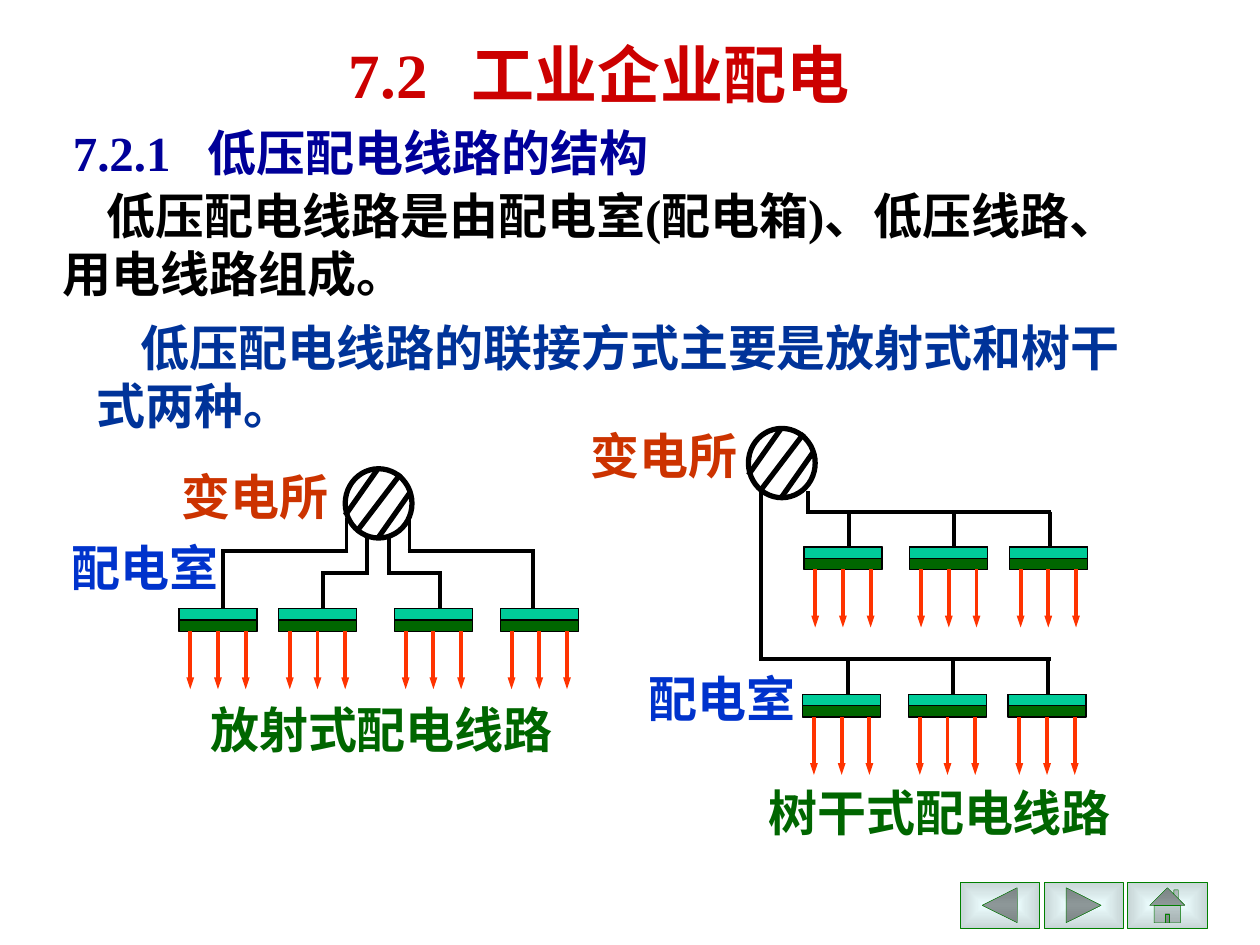
from dataclasses import dataclass

from lxml import etree
from pptx import Presentation
from pptx.dml.color import RGBColor
from pptx.enum.shapes import MSO_CONNECTOR, MSO_SHAPE
from pptx.enum.text import MSO_ANCHOR, MSO_AUTO_SIZE
from pptx.oxml.ns import qn
from pptx.util import Inches, Pt

STRAIGHT = MSO_CONNECTOR.STRAIGHT
RECTANGLE, OVAL = MSO_SHAPE.RECTANGLE, MSO_SHAPE.OVAL
NAVIGATION = (MSO_SHAPE.ACTION_BUTTON_BACK_OR_PREVIOUS,
              MSO_SHAPE.ACTION_BUTTON_FORWARD_OR_NEXT,
              MSO_SHAPE.ACTION_BUTTON_HOME)
TOP, MIDDLE, BOTTOM = MSO_ANCHOR.TOP, MSO_ANCHOR.MIDDLE, MSO_ANCHOR.BOTTOM
FIT_SHAPE = MSO_AUTO_SIZE.SHAPE_TO_FIT_TEXT

SLIDE_WIDTH, SLIDE_HEIGHT = Inches(10), Inches(7.5)
CELL = SLIDE_WIDTH // 100  # the grid has 100 columns and 75 rows
SHORT_LABEL, LONG_LABEL = 14, 29.6  # columns for three and seven characters


@dataclass(frozen=True)
class Theme:
    latin: str = "Times New Roman"
    asian: str = "Noto Sans CJK JP"
    title_size: int = 36
    text_size: int = 28
    title: str = "CC0000"
    heading: str = "000099"
    black: str = "000000"
    statement: str = "003399"
    substation: str = "CC3300"
    room: str = "0033CC"
    green: str = "006600"
    mint: str = "00CC99"
    load: str = "FF3300"
    button_line: str = "008000"
    button_centre: str = "ECFDFE"
    button_edge: str = "C7D5D6"
    thick: float = 3
    wire: float = 2.25
    outline: float = 0.75
    hairline: float = 0.25


THEME = Theme()


@dataclass(frozen=True)
class Box:
    """A region of the grid, with the shapes collection it draws into."""
    shapes: object
    left: float
    top: float

    def at(self, column, row):
        return round((self.left + column) * CELL), round((self.top + row) * CELL)

    def inner(self, column, row):
        return Box(self.shapes, self.left + column, self.top + row)


def color(value):
    return RGBColor.from_string(value)


def add_text(box, column, row, width, height, paragraphs, ink,
             size=THEME.text_size, anchor=TOP, wrap=True, indent=0, tab=0):
    """indent applies to the first line; tab is the single tab stop."""
    shape = box.shapes.add_textbox(*box.at(column, row), round(width * CELL), round(height * CELL))
    frame = shape.text_frame
    frame.word_wrap = wrap
    frame.vertical_anchor = anchor
    if not wrap:
        frame.auto_size = FIT_SHAPE
    frame.text = "\n".join(paragraphs)
    properties = frame.paragraphs[0]._p.get_or_add_pPr()
    if indent:
        properties.set("indent", str(round(indent * CELL)))
    if tab:
        stops = etree.SubElement(properties, qn("a:tabLst"))
        etree.SubElement(stops, qn("a:tab"), pos=str(round(tab * CELL)), algn="l")
    for paragraph in frame.paragraphs:
        for run in paragraph.runs:
            run.font.name = THEME.latin
            run.font.size = Pt(size)
            run.font.bold = True
            run.font.color.rgb = color(ink)
            etree.SubElement(run._r.get_or_add_rPr(), qn("a:ea"), typeface=THEME.asian)


def add_label(box, column, row, width, text, ink):
    add_text(box, column, row, width, 5.7, [text], ink, wrap=False)


def add_line(box, start, end, ink=THEME.black, width=THEME.wire, arrow=False):
    connector = box.shapes.add_connector(STRAIGHT, *box.at(*start), *box.at(*end))
    connector.line.color.rgb = color(ink)
    connector.line.width = Pt(width)
    if arrow:
        etree.SubElement(connector.line._get_or_add_ln(), qn("a:tailEnd"),
                         type="triangle", w="sm", len="med")
    etree.SubElement(connector._element.spPr, qn("a:effectLst"))


def add_shape(box, kind, column, row, width, height, fill=None,
              ink=THEME.black, line_width=THEME.outline):
    shape = box.shapes.add_shape(kind, *box.at(column, row),
                                 round(width * CELL), round(height * CELL))
    shape.shadow.inherit = False
    shape.line.color.rgb = color(ink)
    shape.line.width = Pt(line_width)
    if fill:
        shape.fill.solid()
        shape.fill.fore_color.rgb = color(fill)
    else:
        shape.fill.background()
    return shape


def add_substation(box):
    add_shape(box, OVAL, 0, 0, 5.3, 5.5, line_width=THEME.thick)
    for start, end in (((2.6, 0), (0, 3.7)), ((4.4, 0.4), (0.9, 5)), ((5.2, 1.8), (2.6, 5.5))):
        add_line(box, start, end, width=THEME.thick)


def add_room(box):
    """A distribution room with its three load arrows."""
    for height, fill in ((1.8, THEME.green), (0.9, THEME.mint)):
        add_shape(box, RECTANGLE, 0, 0, 6.2, height, fill)
    for index in range(3):
        column = 0.9 + 2.2 * index
        add_line(box, (column, 1.8), (column, 6.4), THEME.load, arrow=True)


def add_bus(box, start, end, row):
    """A horizontal wire that overlaps its corners by half a line width."""
    overlap = 0.15 if end > start else -0.15
    add_line(box, (start - overlap, row), (end + overlap, row))


def add_radial_diagram(box):
    add_substation(box.inner(22.7, 0.7))
    room_row = 11.8
    # outlet column, outlet row, bus row, drop column, room column
    for outlet, start, bus, drop, room in ((22.8, 4.6, 7.2, 13, 9.5),
                                           (24.4, 6.2, 9, 20.9, 17.4),
                                           (26.2, 6.2, 9, 30.2, 26.6),
                                           (27.8, 4.6, 7.2, 37.6, 35)):
        add_line(box, (outlet, start), (outlet, bus))
        add_bus(box, outlet, drop, bus)
        add_line(box, (drop, bus), (drop, room_row))
        add_room(box.inner(room, room_row))
    add_label(box, 8.7, 0, SHORT_LABEL, "变电所", THEME.substation)
    add_label(box, 0, 5.7, SHORT_LABEL, "配电室", THEME.room)
    add_label(box, 11, 18.5, LONG_LABEL, "放射式配电线路", THEME.green)


def add_trunk_diagram(box):
    add_substation(box.inner(13.5, 0.7))
    for outlet, bus, shift in ((18.2, 7.3, 0), (14.5, 19, -0.1)):
        add_line(box, (outlet, 5.7), (outlet, bus))
        add_bus(box, outlet, 37.4, bus)
        for room, drop in ((17.9, 21.5), (26.3, 29.8), (34.2, 37.4)):
            add_line(box, (drop + shift, bus), (drop + shift, bus + 2.8))
            add_room(box.inner(room + shift, bus + 2.8))
    add_label(box, 0, 0, SHORT_LABEL, "变电所", THEME.substation)
    add_label(box, 4.6, 19.3, SHORT_LABEL, "配电室", THEME.room)
    add_label(box, 14.1, 28.3, LONG_LABEL, "树干式配电线路", THEME.green)


def add_navigation(box):
    for index, kind in enumerate(NAVIGATION):
        button = add_shape(box, kind, 6.65 * index, 0, 6.3, 3.7,
                           ink=THEME.button_line, line_width=THEME.hairline)
        button.fill.gradient()
        for stop, value in zip(button.fill.gradient_stops,
                               (THEME.button_centre, THEME.button_edge)):
            stop.color.rgb = color(value)
        gradient = button._element.spPr.find(qn("a:gradFill"))
        gradient.remove(gradient.find(qn("a:lin")))
        shade = etree.SubElement(gradient, qn("a:path"), path="rect")
        etree.SubElement(shade, qn("a:fillToRect"), l="50000", t="50000", r="50000", b="50000")


def add_introduction(box):
    add_text(box, 26.7, 2.5, 58.3, 6.7, ["7.2\t工业企业配电"], THEME.title,
             size=THEME.title_size, anchor=MIDDLE, tab=9.7)
    add_text(box, 4.8, 9.2, 60, 5.7, ["7.2.1\t低压配电线路的结构"], THEME.heading, tab=10.7)
    add_text(box, 4, 14.2, 92, 10.4,
             ["低压配电线路是由配电室(配电箱)、低压线路、", "用电线路组成。"],
             THEME.black, indent=3.5)
    add_text(box, 6.7, 24.2, 85, 10.8,
             ["低压配电线路的联接方式主要是放射式和树干式两种。"],
             THEME.statement, anchor=BOTTOM, indent=3.5)


def main():
    presentation = Presentation()
    presentation.slide_width, presentation.slide_height = SLIDE_WIDTH, SLIDE_HEIGHT
    slide = presentation.slides.add_slide(presentation.slide_layouts[6])
    add_introduction(Box(slide.shapes, 0, 0))
    add_radial_diagram(Box(slide.shapes.add_group_shape().shapes, 4.7, 36.5))
    add_trunk_diagram(Box(slide.shapes.add_group_shape().shapes, 45.9, 33.3))
    add_navigation(Box(slide.shapes, 76.2, 70))
    presentation.save("out.pptx")


if __name__ == "__main__":
    main()
